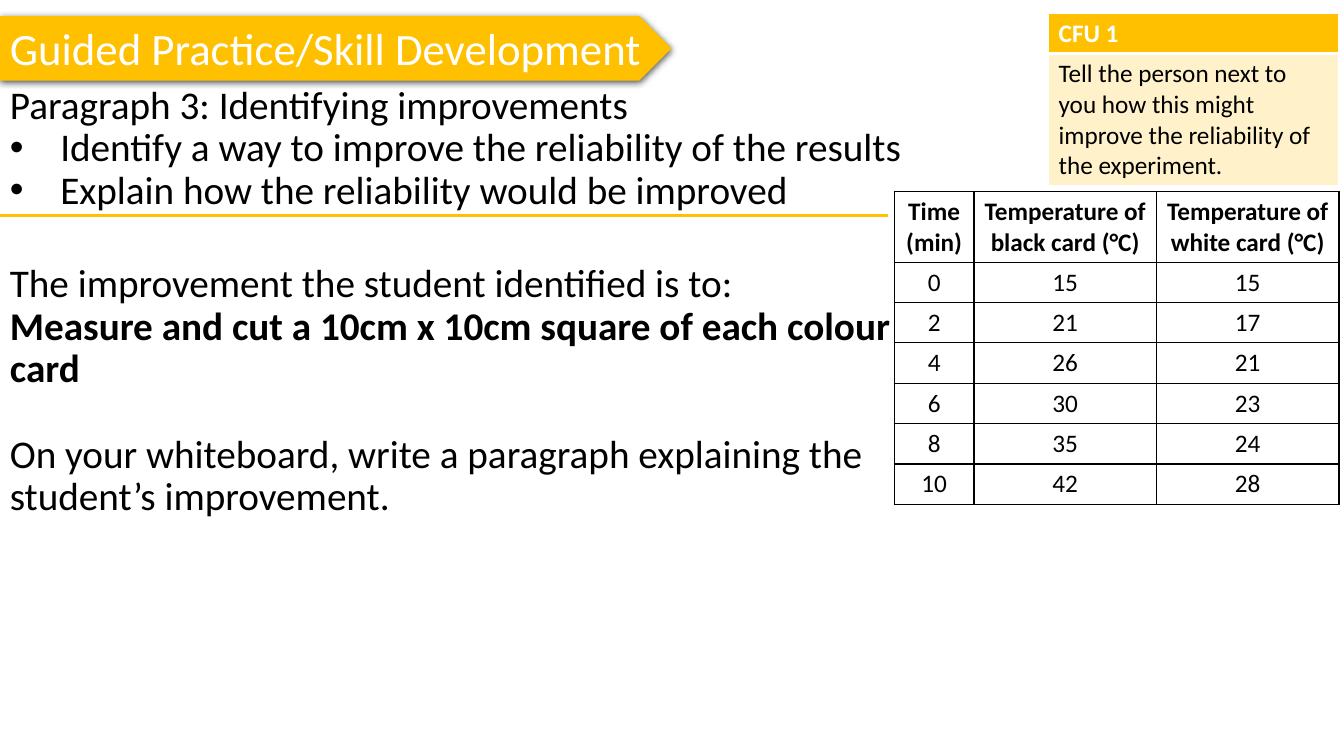
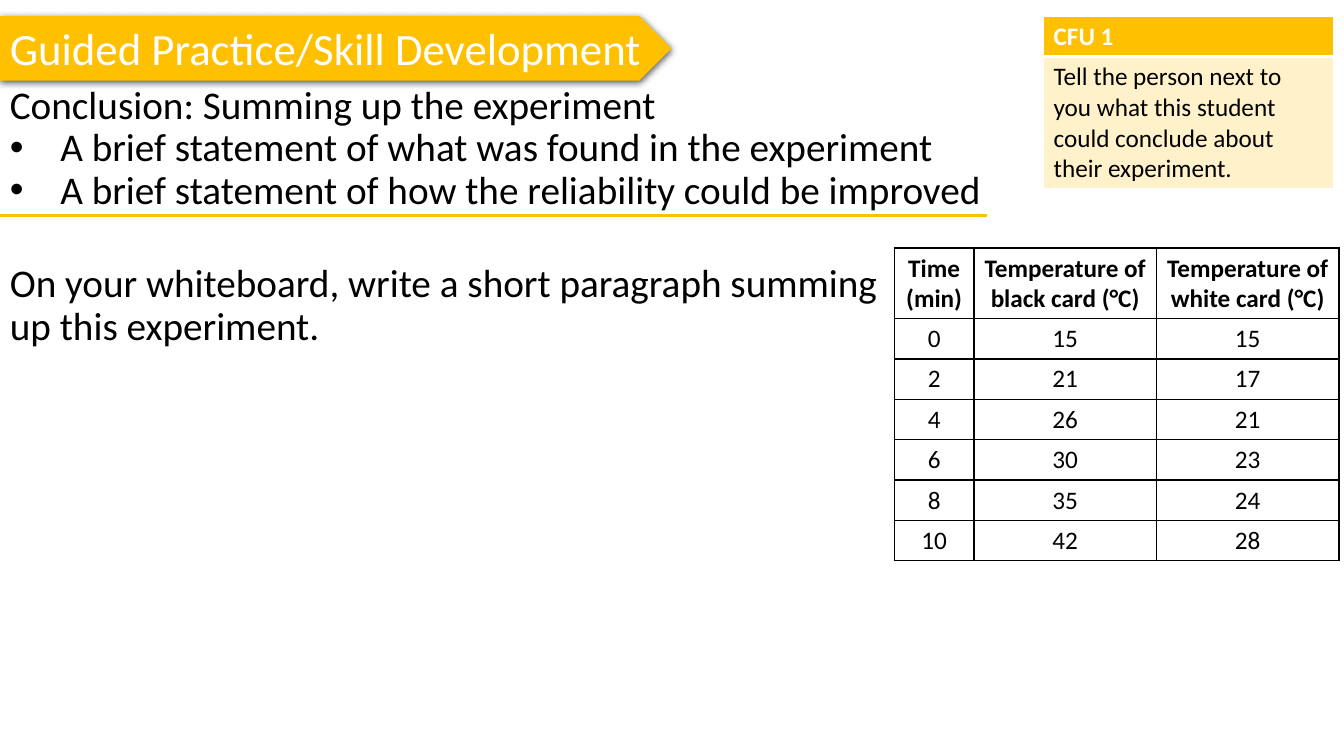
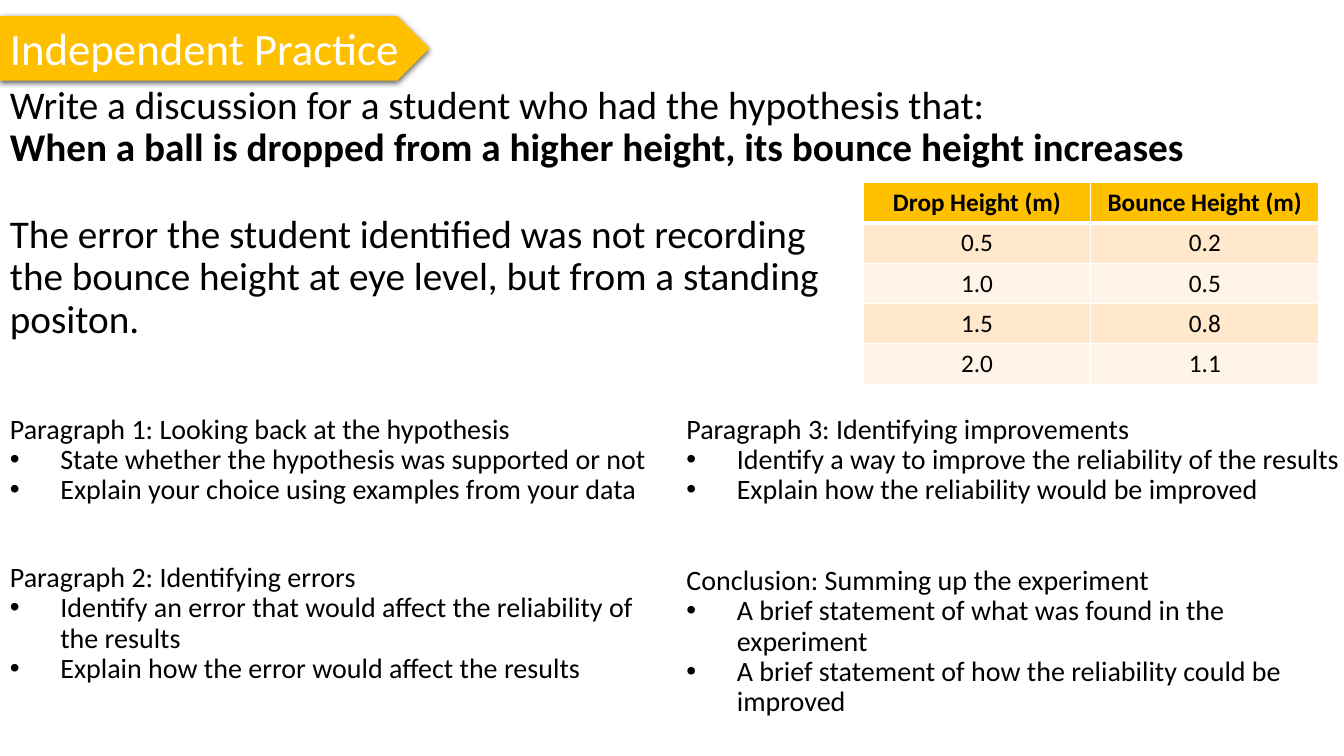
from lxml.etree import SubElement
from pptx import Presentation
from pptx.dml.color import RGBColor
from pptx.enum.shapes import MSO_CONNECTOR as Link, MSO_SHAPE as Shape
from pptx.enum.text import MSO_ANCHOR as Anchor, MSO_AUTO_SIZE as Fit, PP_ALIGN as Align
from pptx.oxml.ns import qn
from pptx.util import Emu, Pt

PX = 9144  # 100 px to the inch
FONT = "Calibri"
COLORS = {
    "gold": "FFC000",
    "cream": "FFE699",
    "peach": "FFE8CC",
    "shell": "FFF4E7",
    "white": "FFFFFF",
    "black": "000000",
}
LEAD = 0.9
GAP = 31  # height of one 28 pt line, in points

PLANS = {
    "Paragraph 1: Looking back at the hypothesis": [
        "State whether the hypothesis was supported or not",
        "Explain your choice using examples from your data",
    ],
    "Paragraph 2: Identifying errors": [
        "Identify an error that would affect the reliability of the results",
        "Explain how the error would affect the results",
    ],
    "Paragraph 3: Identifying improvements": [
        "Identify a way to improve the reliability of the results",
        "Explain how the reliability would be improved",
    ],
    "Conclusion: Summing up the experiment": [
        "A brief statement of what was found in the experiment",
        "A brief statement of how the reliability could be improved",
    ],
}
HYPO, ERROR, BETTER, CLOSE = PLANS

CARDS = [
    ["Time (min)", "Temperature of black card (°C)", "Temperature of white card (°C)"],
    ["0", "15", "15"],
    ["2", "21", "17"],
    ["4", "26", "21"],
    ["6", "30", "23"],
    ["8", "35", "24"],
    ["10", "42", "28"],
]
DROPS = [
    ["Drop Height (m)", "Bounce Height (m)"],
    ["0.5", "0.2"],
    ["1.0", "0.5"],
    ["1.5", "0.8"],
    ["2.0", "1.1"],
]


def px(*nums):
    return [Emu(n * PX) for n in nums]


def rgb(name):
    return RGBColor.from_string(COLORS[name])


def node(root, tag, **attrs):
    return SubElement(root, qn(tag), {k: str(v) for k, v in attrs.items()})


def write(frame, text, size=28, color="black", bold=False, align=Align.LEFT,
          lead=None, gap=0, dot=False):
    """Add one paragraph, filling the empty first one if there is one."""
    para = frame.paragraphs[0]
    if para.runs:
        para = frame.add_paragraph()
    para.alignment = align
    if lead:
        para.line_spacing = lead
    if gap:
        para.space_before = Pt(gap)
    if dot:
        props = para._p.get_or_add_pPr()
        props.set("marL", str(50 * PX))
        props.set("indent", str(-50 * PX))
        node(props, "a:buFont", typeface="Arial")
        node(props, "a:buChar", char="•")
    run = para.add_run()
    run.text = text
    font = run.font
    font.name, font.size, font.bold = FONT, Pt(size), bold
    font.color.rgb = rgb(color)


def area(slide, *box):
    frame = slide.shapes.add_textbox(*px(*box)).text_frame
    frame.word_wrap = True
    return frame


def banner(slide, title, wide):
    tag = slide.shapes.add_shape(Shape.PENTAGON, *px(0, 16, wide, 64))
    tag.fill.solid()
    tag.fill.fore_color.rgb = rgb("gold")
    tag.line.fill.background()
    tag.shadow.inherit = False
    glow = node(tag._element.spPr.find(qn("a:effectLst")), "a:outerShdw",
                blurRad=Pt(4.5), dist=Pt(1.5), dir=5400000, algn="t", rotWithShape=0)
    node(node(glow, "a:srgbClr", val=COLORS["black"]), "a:alpha", val=63000)
    frame = tag.text_frame
    frame.word_wrap = False
    frame.auto_size = Fit.SHAPE_TO_FIT_TEXT
    frame.vertical_anchor = Anchor.TOP
    write(frame, title, size=32, color="white")


def rule(slide, y, wide):
    line = slide.shapes.add_connector(Link.STRAIGHT, *px(0, y, wide, y))
    line.line.color.rgb = rgb("gold")
    line.line.width = Pt(2.25)
    node(line._element.spPr, "a:effectLst")


def plan(slide, box, title, size=28):
    """A heading with its bulleted steps."""
    frame = area(slide, *box)
    write(frame, title, size=size, lead=LEAD)
    for step in PLANS[title]:
        write(frame, step, size=size, lead=LEAD, dot=True)


def border(cell, color, foot):
    props = cell._tc.get_or_add_tcPr()
    for side in "LRTB":
        line = node(props, f"a:ln{side}", w=Pt(foot if side == "B" else 1))
        node(node(line, "a:solidFill"), "a:srgbClr", val=COLORS[color])


def paint(cell, color, alpha):
    if not color:
        cell.fill.background()
        return
    cell.fill.solid()
    cell.fill.fore_color.rgb = rgb(color)
    if alpha < 100:
        tint = cell._tc.tcPr.find(qn("a:solidFill"))[0]
        node(tint, "a:alpha", val=alpha * 1000)


def table(slide, spot, cols, tall, rows, fills, edge="white", foot=1,
          ink="black", alpha=100, align=Align.CENTER, anchor=Anchor.MIDDLE):
    """Draw rows under a bold head row; foot is the rule below the head."""
    box = px(*spot, sum(cols), sum(tall))
    grid = slide.shapes.add_table(len(rows), len(cols), *box).table
    grid.first_row = grid.horz_banding = False
    for col, wide in zip(grid.columns, px(*cols)):
        col.width = wide
    for row, high in zip(grid.rows, px(*tall)):
        row.height = high
    for r, (row, fill) in enumerate(zip(rows, fills)):
        head = r == 0
        for c, text in enumerate(row):
            cell = grid.cell(r, c)
            cell.vertical_anchor = anchor
            border(cell, edge, foot if head else 1)
            paint(cell, fill, 100 if head else alpha)
            write(cell.text_frame, text, size=18, bold=head, align=align,
                  color=ink if head else "black")


def check(slide, spot, task):
    """The box that asks pupils to talk to a neighbour."""
    table(slide, spot, [288], [39, 131], [["CFU 1"], [task]], ["gold", "cream"],
          foot=3, ink="white", alpha=50, align=Align.LEFT, anchor=Anchor.TOP)


def cards(slide, y):
    table(slide, (887, y), [79, 181, 181], [70] + [40] * 6, CARDS,
          [None] * len(CARDS), edge="black")


def guided(slide, title, wide, spot, task, y):
    """The parts both guided slides share; returns the frame for the body."""
    banner(slide, "Guided Practice/Skill Development", 666)
    plan(slide, (0, 80, 1006, 147), title)
    check(slide, spot, task)
    rule(slide, 214, wide)
    cards(slide, y)
    return area(slide, 0, 257, 900, 400)


def improve(slide):
    body = guided(slide, BETTER, 881, (1040, 13),
                  "Tell the person next to you how this might improve "
                  "the reliability of the experiment.", 190)
    write(body, "The improvement the student identified is to:", lead=LEAD)
    write(body, "Measure and cut a 10cm x 10cm square of each colour card",
          bold=True, lead=LEAD)
    write(body, "On your whiteboard, write a paragraph explaining the "
          "student’s improvement.", lead=LEAD, gap=GAP)


def conclude(slide):
    body = guided(slide, CLOSE, 979, (1035, 16),
                  "Tell the person next to you what this student could "
                  "conclude about their experiment.", 246)
    write(body, "On your whiteboard, write a short paragraph summing up "
          "this experiment.", lead=LEAD)


def practice(slide):
    banner(slide, "Independent Practice", 426)
    intro = area(slide, 0, 80, 1204, 95)
    write(intro, "Write a discussion for a student who had the hypothesis that:",
          lead=LEAD)
    write(intro, "When a ball is dropped from a higher height, its bounce "
          "height increases", bold=True, lead=LEAD)
    write(area(slide, 0, 208, 845, 138),
          "The error the student identified was not recording the bounce "
          "height at eye level, but from a standing positon.", lead=LEAD)
    for title, box in {
        HYPO: (0, 407, 671, 111),
        ERROR: (0, 554, 671, 130),
        BETTER: (671, 407, 670, 103),
        CLOSE: (671, 557, 649, 188),
    }.items():
        plan(slide, box, title, size=20)
    table(slide, (856, 181), [226, 226], [40] * 5, DROPS,
          ["gold"] + ["peach", "shell"] * 2, foot=3)


def main():
    deck = Presentation()
    deck.slide_width, deck.slide_height = px(1333, 750)
    for build in (improve, conclude, practice):
        build(deck.slides.add_slide(deck.slide_layouts[6]))
    deck.save("out.pptx")


if __name__ == "__main__":
    main()
